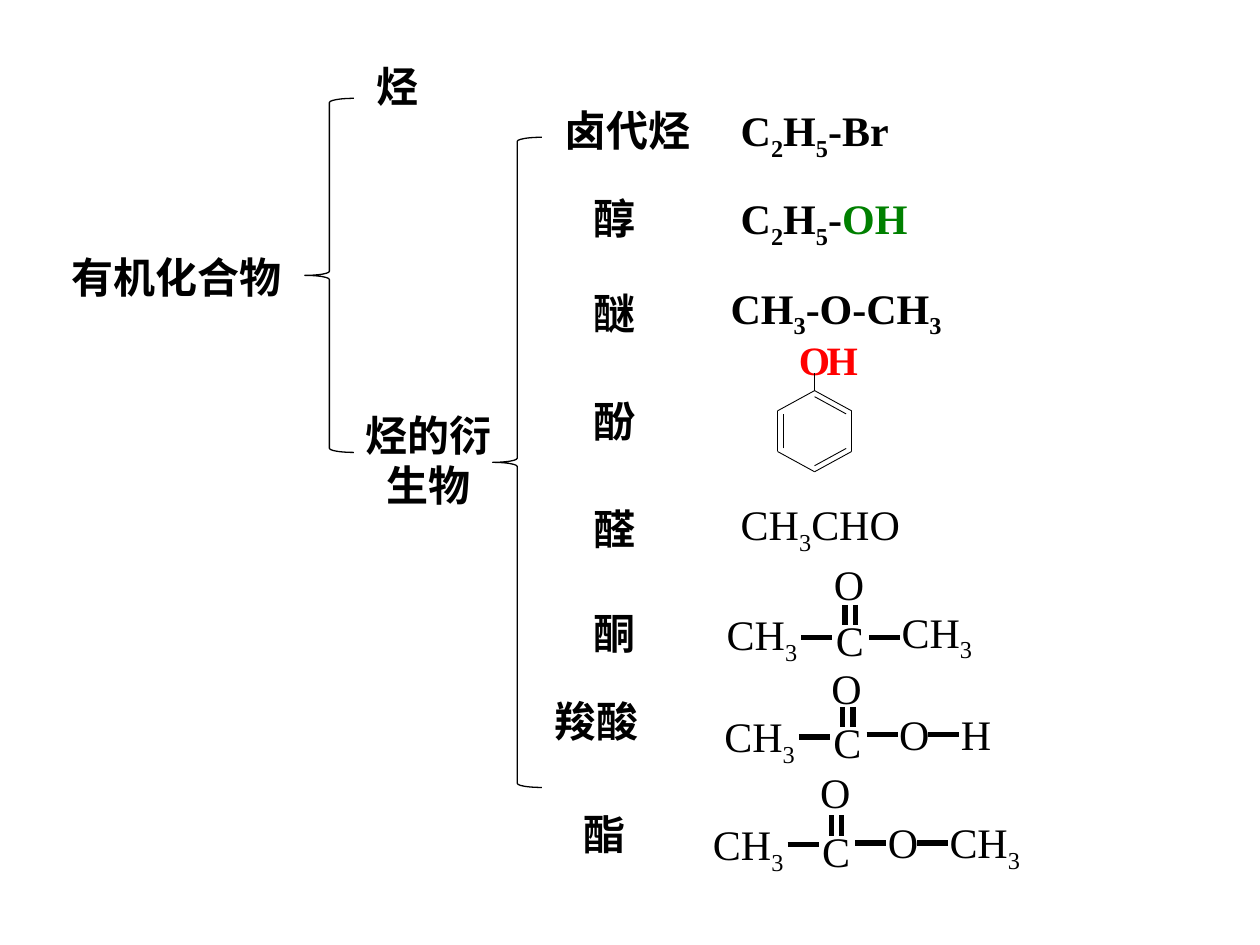
from itertools import groupby

from lxml.etree import SubElement
from pptx import Presentation
from pptx.dml.color import RGBColor as RGB
from pptx.enum.shapes import MSO_CONNECTOR as CONN, MSO_SHAPE as SHAPE
from pptx.enum.text import PP_ALIGN as ALIGN
from pptx.oxml.ns import qn
from pptx.util import Pt

THEME = {
    "ink": RGB(0, 0, 0), "alcohol": RGB(0, 0x80, 0), "phenol": RGB(0xFF, 0, 0),
    "latin": "Times New Roman", "cjk": "Noto Sans CJK SC",
    "size": 24, "phenol_size": 23,
    "brace": 0.75, "ring": 0.5, "stem": 1, "bond": 3,
}

# Content: text, left, top, width
CLASSES = [
    ("有机化合物", 33.8, 140.4, 170),
    ("烃", 208, 31, 62),
    ("卤代烃", 315.4, 56.2, 106.6),
    ("醇", 332, 106.6, 50),
    ("醚", 332, 160.6, 50),
    ("酚", 332, 222.5, 50),
    ("醛", 332, 284.4, 50),
    ("酮", 332, 343.4, 50),
    ("羧酸", 309.6, 393.8, 67.7),
    ("酯", 326.2, 458.6, 50.4),
]
DERIVATIVES = ("烃的衍生物", 191.5, 230.4, 106.6)
BRACES = [(174.2, 56.2, 28.1, 202.3), (281.5, 78.5, 28.1, 371.5)]

# Formula parts (text, colour), left, top, bold
FORMULAS = [
    ([("C2H5-Br", "ink")], 416.2, 56.2, True),
    ([("C2H5-", "ink"), ("OH", "alcohol")], 416.2, 106.6, True),
    ([("CH3-O-CH3", "ink")], 410.4, 157.7, True),
    ([("CH3CHO", "ink")], 416.2, 281.5, False),
]

# Carbonyl molecules: x, chain top, oxygen top, bond y left and right, right-hand groups
CARBONYLS = [
    (469.4, 344.2, 315.4, 364.4, 364.4, ["CH3"]),
    (468, 402.5, 375.1, 421.2, 419.8, ["O", "H"]),
    (461.5, 464.4, 434.2, 482.4, 481.7, ["O", "CH3"]),
]
GROUP_STEP = 35.3

# Phenol: ring centre, half width, radius
RING_X, RING_Y, HALF_W, RADIUS = 465.5, 246.4, 21.2, 23.2
INNER = 0.85
HYDROXYL = [("O", 456.5), ("H", 472.3)]
HYDROXYL_TOP, STEM_TOP = 191.5, 213.1


def add_text(shapes, parts, x, y, w, h=36, bold=False, size=THEME["size"],
             latin=THEME["latin"], align=ALIGN.LEFT, inset=None):
    """Place one line of text; digits become subscripts."""
    tf = shapes.add_textbox(Pt(x), Pt(y), Pt(w), Pt(h)).text_frame
    tf.word_wrap = True
    if inset is not None:
        for side in ("left", "top", "right", "bottom"):
            setattr(tf, f"margin_{side}", Pt(inset))
    p = tf.paragraphs[0]
    p.alignment = align
    for text, colour in parts:
        for is_sub, chars in groupby(text, str.isdigit):
            r = p.add_run()
            r.text = "".join(chars)
            for key, value in {"size": Pt(size), "bold": bold, "name": latin}.items():
                setattr(r.font, key, value)
            r.font.color.rgb = THEME[colour]
            rPr = r.font._element
            SubElement(rPr, qn("a:ea")).set("typeface", THEME["cjk"])
            if is_sub:
                rPr.set("baseline", "-25000")


def add_line(shapes, x1, y1, x2, y2, weight):
    line = shapes.add_connector(CONN.STRAIGHT, Pt(x1), Pt(y1), Pt(x2), Pt(y2))
    line.line.color.rgb = THEME["ink"]
    line.line.width = Pt(THEME[weight])
    SubElement(line._element.spPr, qn("a:effectLst"))


def add_phenol(slide):
    shapes = slide.shapes.add_group_shape().shapes
    for letter, x in HYDROXYL:
        add_text(shapes, [(letter, "phenol")], x, HYDROXYL_TOP, 18, 27, bold=True,
                 size=THEME["phenol_size"], inset=0)
    corners = [(0, -1), (1, -0.5), (1, 0.5), (0, 1), (-1, 0.5), (-1, -0.5)]

    def corner(i, scale):
        dx, dy = corners[i % 6]
        return RING_X + dx * HALF_W * scale, RING_Y + dy * RADIUS * scale

    # Every second edge is a double bond
    for i in range(6):
        for scale in ((1, INNER) if i % 2 == 0 else (1,)):
            add_line(shapes, *corner(i, scale), *corner(i + 1, scale), "ring")
    add_line(shapes, RING_X, STEM_TOP, *corner(0, 1), "stem")


def add_carbonyl(slide, x, top, oxygen_top, left_y, right_y, groups):
    shapes = slide.shapes.add_group_shape().shapes
    add_text(shapes, [("C", "ink")], x + 1.2, top + 3.6, 32)
    add_text(shapes, [("O", "ink")], x, oxygen_top, 32)
    for dx in (13.5, 19.5):
        add_line(shapes, x + dx, top + 1.4, x + dx, top + 13.2, "bond")
    add_text(shapes, [("CH3", "ink")], x - 61.2, top, 71, 40)
    add_line(shapes, x - 11.5, left_y, x + 6.3, left_y, "bond")
    for i, group in enumerate(groups):
        start = x + i * GROUP_STEP
        add_line(shapes, start + 27.2, right_y, start + 45, right_y, "bond")
        add_text(shapes, [(group, "ink")], start + 38.7, top - 1.4, 71, 40)


prs = Presentation()
prs.slide_width, prs.slide_height = Pt(720), Pt(540)
slide = prs.slides.add_slide(prs.slide_layouts[6])

# Classification tree
for text, x, y, w in CLASSES:
    add_text(slide.shapes, [(text, "ink")], x, y, w, bold=True)
text, x, y, w = DERIVATIVES
add_text(slide.shapes, [(text, "ink")], x, y, w, 64.8, bold=True,
         latin=THEME["cjk"], align=ALIGN.CENTER)
for box in BRACES:
    sp = slide.shapes.add_shape(SHAPE.LEFT_BRACE, *map(Pt, box))
    sp.shadow.inherit = False
    sp.fill.background()
    sp.line.color.rgb = THEME["ink"]
    sp.line.width = Pt(THEME["brace"])

# Example formulas
for parts, x, y, bold in FORMULAS:
    add_text(slide.shapes, parts, x, y, 155, 40, bold=bold)
add_phenol(slide)
for molecule in CARBONYLS:
    add_carbonyl(slide, *molecule)

prs.save("out.pptx")
